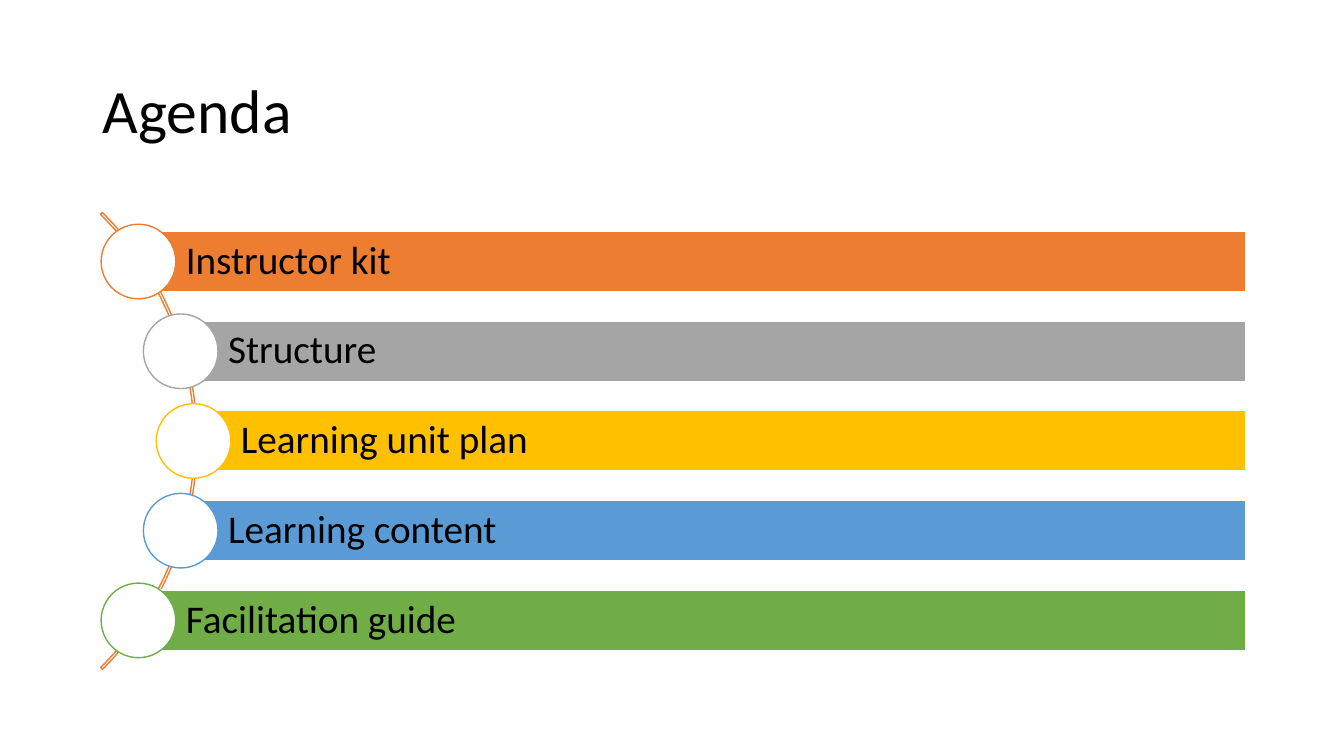
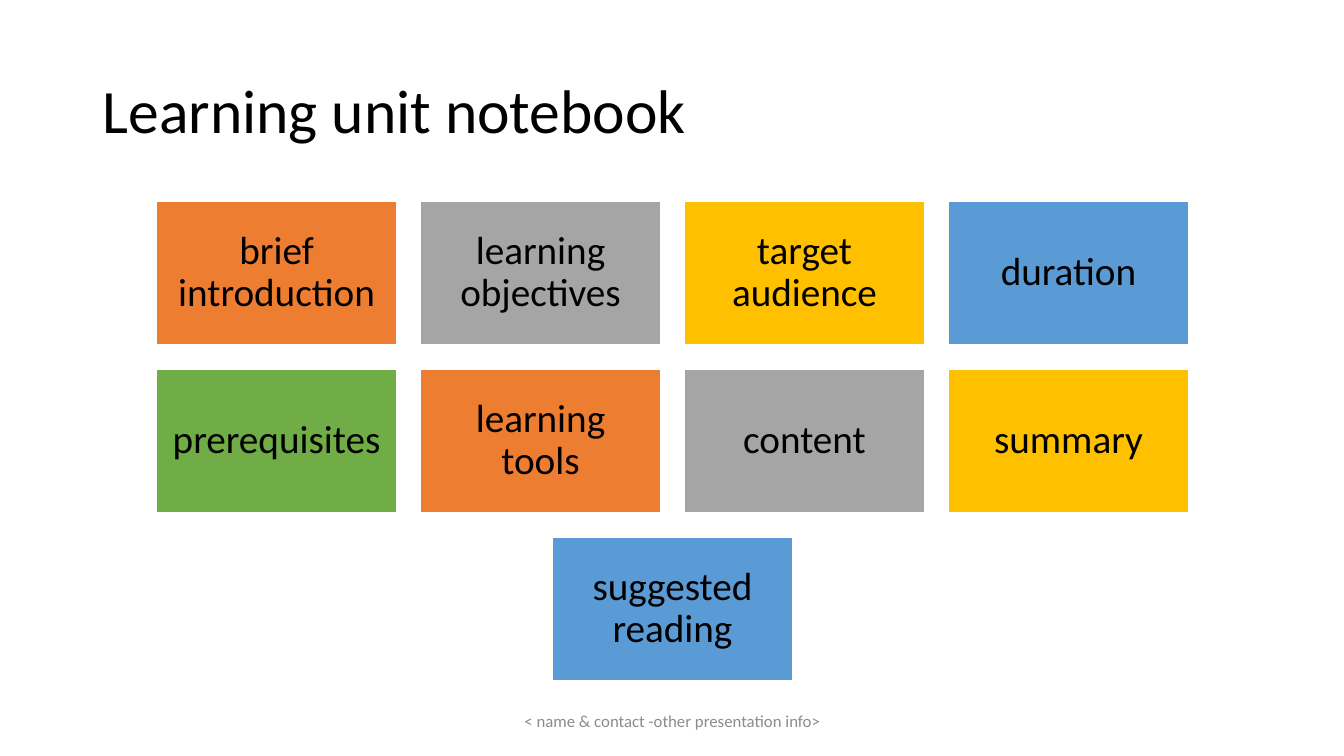
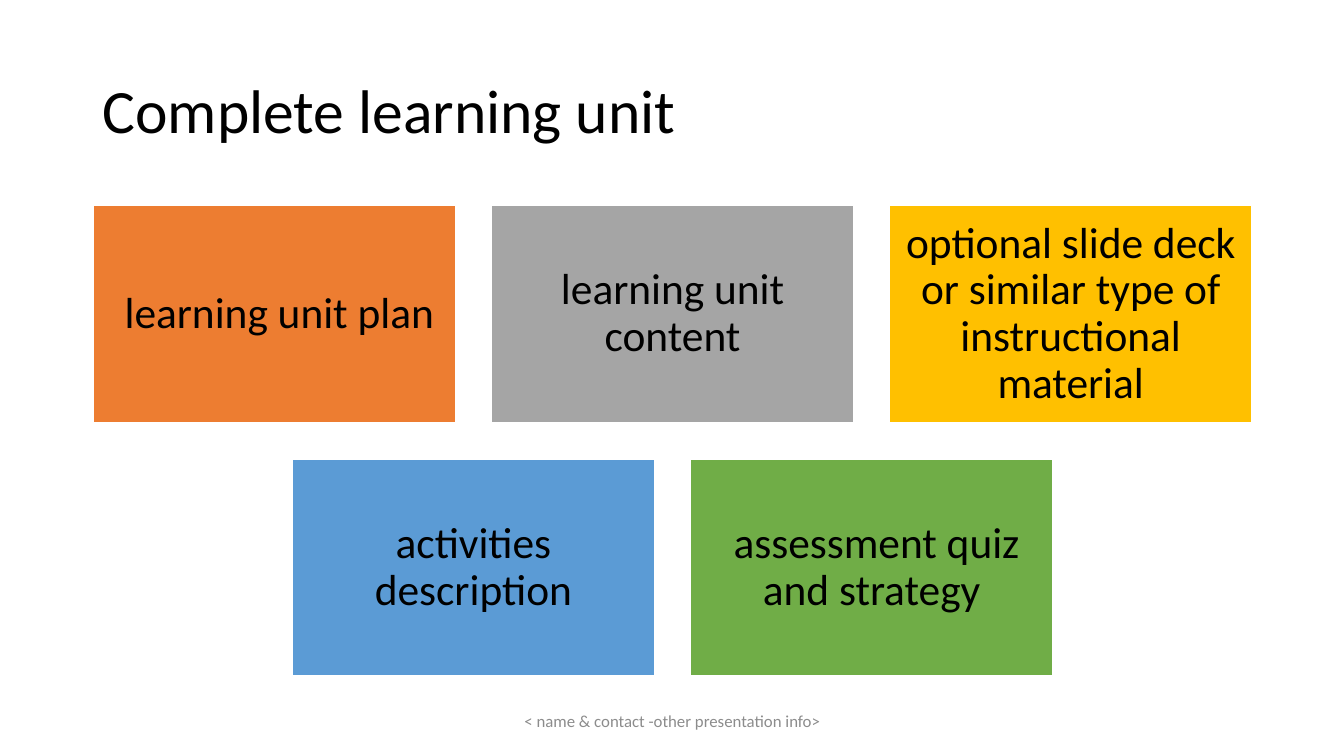
import math

import pptx
import pptx.dml.color
import pptx.enum.shapes
import pptx.enum.text
import pptx.util

RGB = pptx.dml.color.RGBColor
Inches = pptx.util.Inches
Pt = pptx.util.Pt
KIND = pptx.enum.shapes.MSO_SHAPE
ALIGN = pptx.enum.text.PP_ALIGN

BLACK = RGB(0x00, 0x00, 0x00)
WHITE = RGB(0xFF, 0xFF, 0xFF)
MUTED = RGB(0x8C, 0x8C, 0x8C)
ORANGE = RGB(0xED, 0x7D, 0x31)
GRAY = RGB(0xA5, 0xA5, 0xA5)
GOLD = RGB(0xFF, 0xC0, 0x00)
BLUE = RGB(0x5B, 0x9B, 0xD5)
GREEN = RGB(0x70, 0xAD, 0x47)
ACCENTS = [ORANGE, GRAY, GOLD, BLUE, GREEN]

FONT = "Calibri"
TITLE = (0.92, 0.4, 11.5, 1.45)
BODY = (0.92, 2, 11.5, 4.75)
FOOTER = (4.42, 6.95, 4.5, 0.4)


def write(shape, text, size, color=BLACK, align=ALIGN.LEFT, spacing=0.9,
          insets=(0.1, 0.05, 0.1, 0.05)):
    """Put one styled paragraph, centred vertically, into a shape."""
    frame = shape.text_frame
    frame.word_wrap = True
    frame.vertical_anchor = pptx.enum.text.MSO_ANCHOR.MIDDLE
    (frame.margin_left, frame.margin_top,
     frame.margin_right, frame.margin_bottom) = map(Inches, insets)
    frame.text = text
    para = frame.paragraphs[0]
    para.alignment = align
    para.line_spacing = spacing
    para.font.name = FONT
    para.font.size = Pt(size)
    para.font.color.rgb = color


def label(slide, box, text, size, **style):
    write(slide.shapes.add_textbox(*map(Inches, box)), text, size, **style)


def draw(slide, kind, box, fill, line):
    """Add a preset shape; a fill of None leaves it hollow."""
    shape = slide.shapes.add_shape(kind, *map(Inches, box))
    shape.shadow.inherit = False
    if fill is None:
        shape.fill.background()
    else:
        shape.fill.solid()
        shape.fill.fore_color.rgb = fill
    shape.line.color.rgb = line
    shape.line.width = Pt(1)
    return shape


def start(deck, title, footer=None):
    slide = deck.slides.add_slide(deck.slide_layouts[6])
    label(slide, TITLE, title, 44)
    if footer:
        label(slide, FOOTER, footer, 12, color=MUTED, align=ALIGN.CENTER,
              spacing=1.0)
    return slide


def agenda(slide, box, items):
    """Draw bars whose round markers follow an arc on the left."""
    left, top, width, height = box
    mid = top + height / 2
    hub = left - 2.17
    size, reach = 6.41, 3.17
    pitch, bar, dot = 0.89, 0.6, 0.74
    right = left + width - 0.06

    arc = draw(slide, KIND.BLOCK_ARC,
               (hub - size / 2, mid - size / 2, size, size), None, ORANGE)
    for pos, value in enumerate((189, 27, 0.004)):
        arc.adjustments[pos] = value

    for row, (item, color) in enumerate(zip(items, ACCENTS)):
        drop = (row - (len(items) - 1) / 2) * pitch
        x = hub + math.sqrt(reach ** 2 - drop ** 2)
        y = mid + drop
        band = draw(slide, KIND.RECTANGLE,
                    (x, y - bar / 2, right - x, bar), color, WHITE)
        write(band, item, 28, insets=(0.47, 0.08, 0.08, 0.08))
        draw(slide, KIND.OVAL, (x - dot / 2, y - dot / 2, dot, dot),
             WHITE, color)


def tiles(slide, box, items, cols, wide, size, inset):
    """Centre rows of tiles in the box, a short last row included."""
    left, top, width, height = box
    tall, gap = wide * 0.6, wide * 0.1
    rows = math.ceil(len(items) / cols)
    first = top + (height - rows * tall - (rows - 1) * gap) / 2
    for pos, item in enumerate(items):
        row, col = divmod(pos, cols)
        count = min(cols, len(items) - row * cols)
        edge = left + (width - count * wide - (count - 1) * gap) / 2
        place = (edge + col * (wide + gap), first + row * (tall + gap),
                 wide, tall)
        tile = draw(slide, KIND.RECTANGLE, place,
                    ACCENTS[pos % len(ACCENTS)], WHITE)
        write(tile, item, size, align=ALIGN.CENTER, insets=(inset,) * 4)


def main():
    deck = pptx.Presentation()
    deck.slide_width = Inches(13.33)
    deck.slide_height = Inches(7.5)
    info = "< name & contact -other presentation info>"

    agenda(start(deck, "Agenda"), BODY, [
        "Instructor kit", "Structure", "Learning unit plan",
        "Learning content", "Facilitation guide"])

    tiles(start(deck, "Learning unit notebook", info), BODY, [
        "brief introduction", "learning objectives", "target audience",
        "duration", "prerequisites", "learning tools", "content",
        "summary", "suggested reading"],
        cols=4, wide=2.38, size=28, inset=0.12)

    tiles(start(deck, "Complete learning unit", info), BODY, [
        " learning unit plan", "learning unit content",
        "optional slide deck or similar type of instructional material",
        "activities description", " assessment quiz and strategy"],
        cols=3, wide=3.59, size=31, inset=0.13)

    deck.save("out.pptx")


if __name__ == "__main__":
    main()
